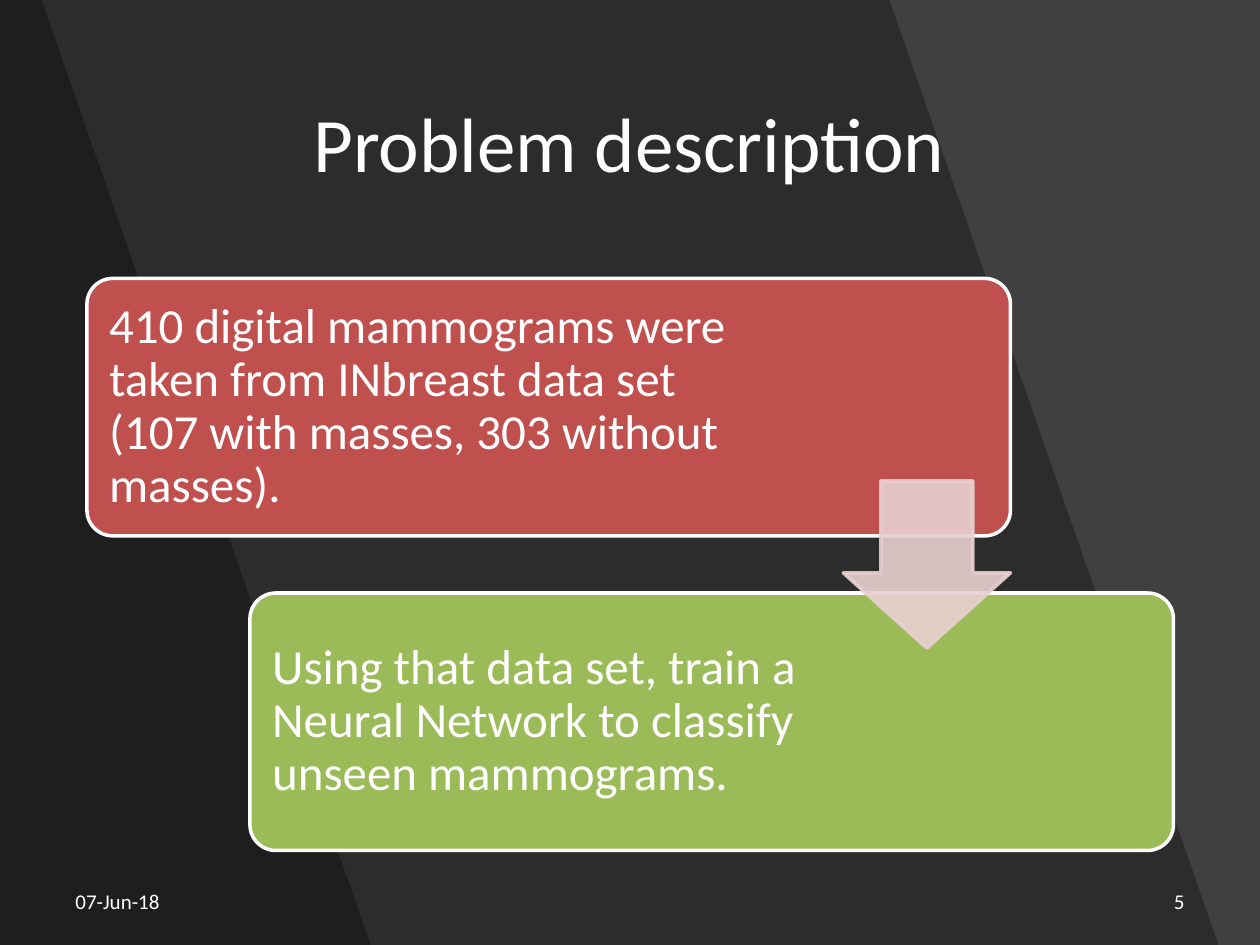
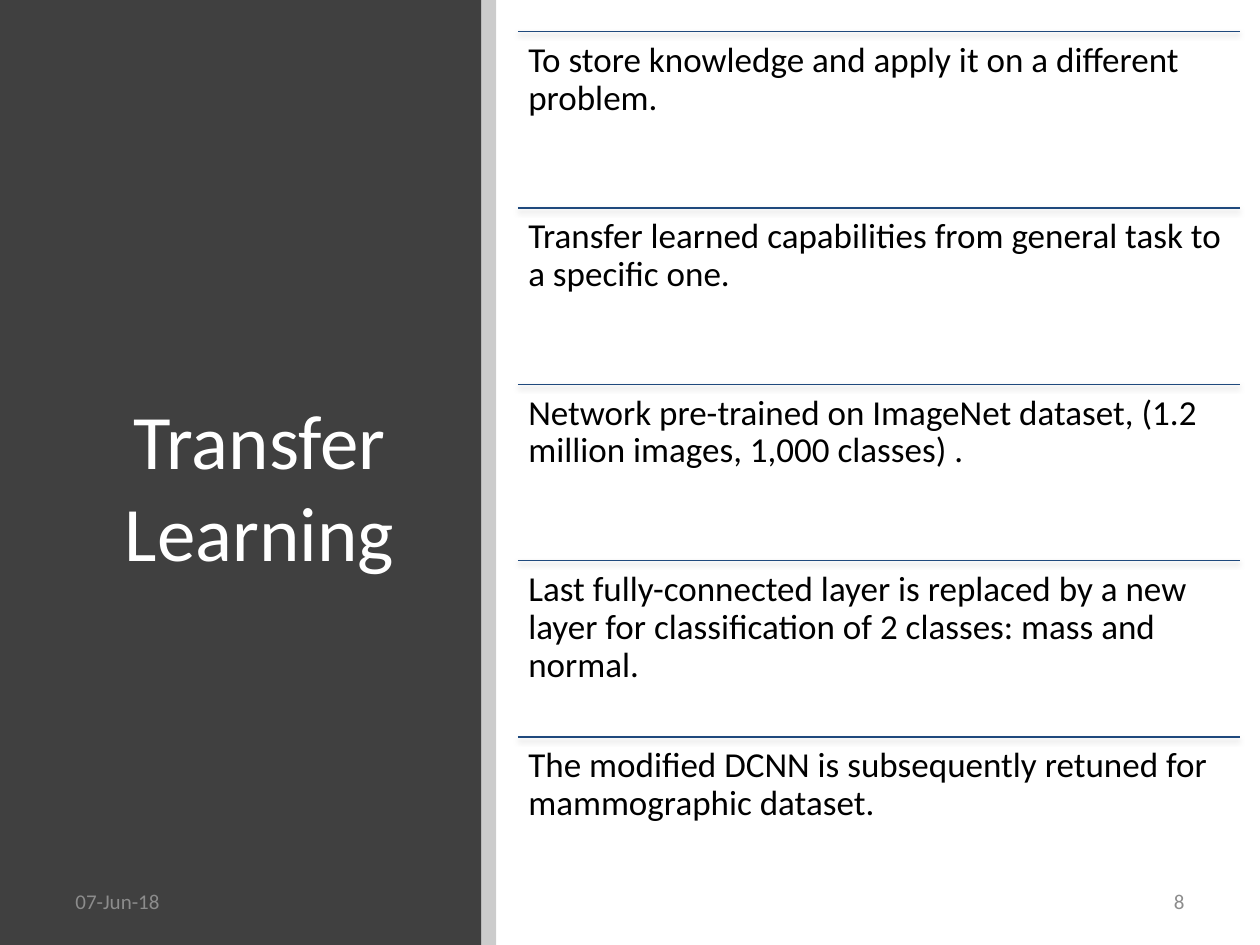
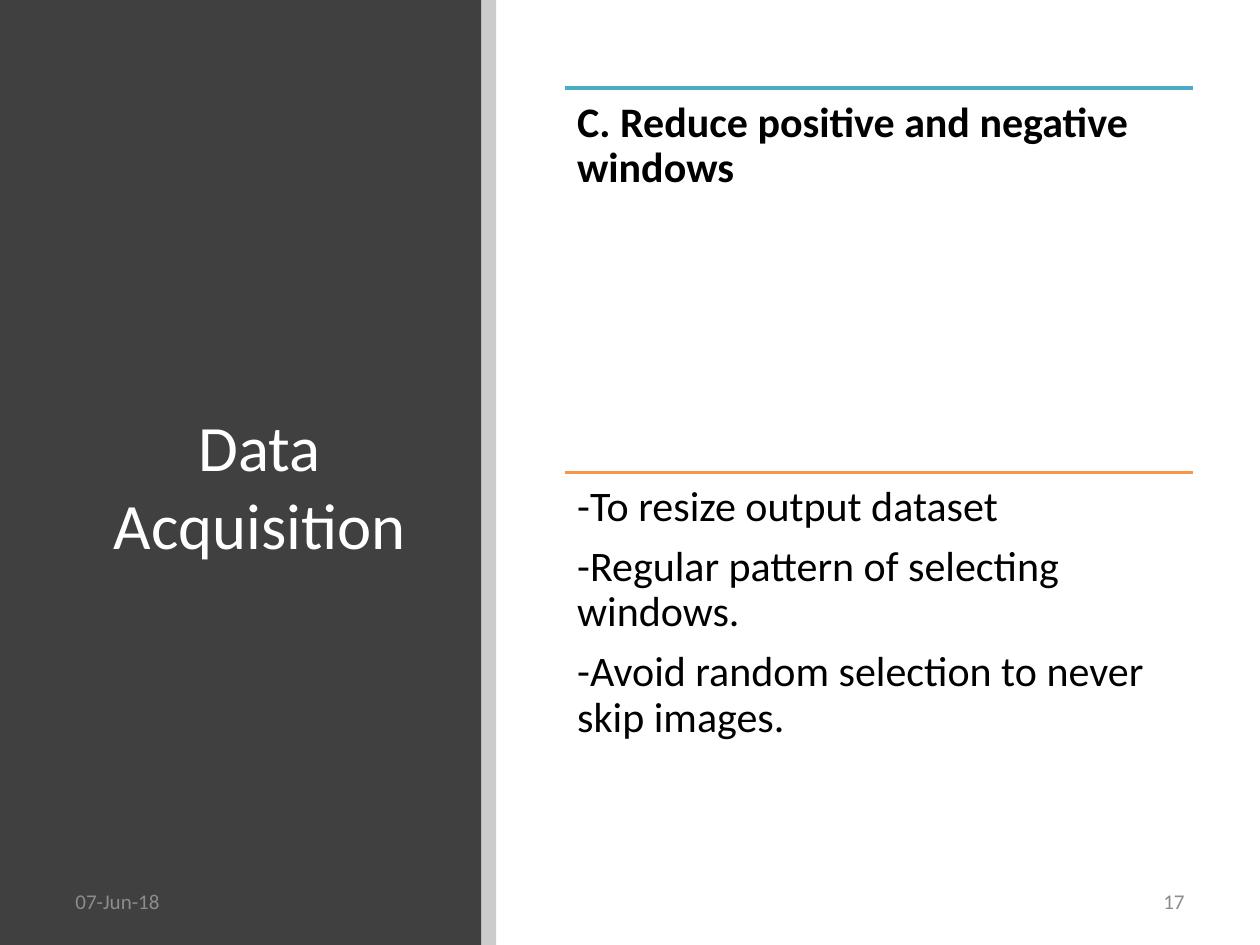
from pptx import Presentation
from pptx.dml.color import RGBColor
from pptx.enum.shapes import MSO_CONNECTOR as CONN, MSO_SHAPE as SHAPE
from pptx.enum.text import MSO_ANCHOR as ANCHOR, MSO_AUTO_SIZE as AUTO, PP_ALIGN as ALIGN
from pptx.oxml.ns import qn
from pptx.util import Pt
from lxml.etree import SubElement

WIDTH, HEIGHT = 720, 540
FONT = "Calibri"
DATE = "07-Jun-18"
TITLE_ONLY = 5
COLORS = {
    "white": "FFFFFF", "black": "000000", "charcoal": "404040",
    "footer": "8C8C8C", "red": "C0504D", "green": "9BBB59",
    "arrow": "E8D0D0", "navy": "1F497D", "teal": "4BACC6", "orange": "F79646",
}


def rgb(name):
    return RGBColor.from_string(COLORS[name])


def pts(*values):
    return [Pt(v) for v in values]


def style_shape(sp, fill, line=None, alpha=None):
    """Fill and outline a shape; alpha is the opacity in percent of both."""
    sp.shadow.inherit = False
    sp.fill.solid()
    sp.fill.fore_color.rgb = rgb(fill)
    if line:
        sp.line.color.rgb = rgb(line)
        sp.line.width = Pt(2)
    else:
        sp.line.fill.background()
    if alpha is not None:
        for clr in sp._element.spPr.iter(qn("a:srgbClr")):
            SubElement(clr, qn("a:alpha")).set("val", str(alpha * 1000))


def write(tf, paragraphs, size, color, align=ALIGN.LEFT, anchor=ANCHOR.MIDDLE, bold=None):
    tf.word_wrap = True
    tf.auto_size = AUTO.NONE
    tf.vertical_anchor = anchor
    for i, text in enumerate(paragraphs):
        p = tf.add_paragraph() if i else tf.paragraphs[0]
        p.alignment = align
        r = p.add_run()
        r.text = text
        r.font.name, r.font.size, r.font.bold = FONT, Pt(size), bold
        r.font.color.rgb = rgb(color)


def space_body(tf, size):
    """Diagram text: margins and spacing follow the text size."""
    tf.margin_left = tf.margin_right = tf.margin_top = tf.margin_bottom = Pt(0.3 * size)
    for p in tf.paragraphs:
        p.line_spacing = 0.9
        p.space_after = Pt(0.35 * size)


# Shared slide parts

def new_slide(prs, background):
    s = prs.slides.add_slide(prs.slide_layouts[TITLE_ONLY])
    s.background.fill.solid()
    s.background.fill.fore_color.rgb = rgb(background)
    return s


def add_title(s, text, box, size=44):
    title = s.shapes.title
    title.left, title.top, title.width, title.height = pts(*box)
    write(title.text_frame, [text], size, "white", ALIGN.CENTER)
    s.shapes._spTree.append(title._element)  # bring in front of the backdrop


def add_footer(s, number, color):
    for x, text, align in ((36, DATE, ALIGN.LEFT), (516, number, ALIGN.RIGHT)):
        tb = s.shapes.add_textbox(*pts(x, 500.5, 168, 28.8))
        write(tb.text_frame, [text], 12, color, align)


# Dark slide

def add_slanted_bands(s, slant=188):
    for top_edge in (508.3, 23.8):
        fb = s.shapes.build_freeform(0, 0)
        fb.add_line_segments([pts(top_edge, 0), pts(top_edge + slant, HEIGHT), pts(0, HEIGHT)])
        style_shape(fb.convert_to_shape(), "black", alpha=30)


def add_step_cards(s, box, steps, size=28):
    """Two staggered cards and an arrow across the gap between them."""
    x, y, w, h = box
    card_w, card_h = 0.85 * w, 0.45 * h
    for i, (text, fill, text_w) in enumerate(steps):
        sp = s.shapes.add_shape(SHAPE.ROUNDED_RECTANGLE, *pts(
            x + i * (w - card_w), y + i * (h - card_h), card_w, card_h))
        sp.adjustments[0] = 0.1
        style_shape(sp, fill, "white")
        write(sp.text_frame, [text], size, "white")
        space_body(sp.text_frame, size)
        sp.text_frame.margin_right = Pt(card_w - text_w)

    side = 0.65 * card_h
    arrow = s.shapes.add_shape(SHAPE.DOWN_ARROW, *pts(
        x + card_w - side, y + (h - side) / 2, side, side))
    arrow.adjustments[0], arrow.adjustments[1] = 0.55, 0.45
    style_shape(arrow, "arrow", "arrow", alpha=90)


def steps_slide(prs, title, steps, number):
    s = new_slide(prs, "charcoal")
    add_slanted_bands(s)
    add_title(s, title, (49, 28.8, 621.4, 104.4))
    add_step_cards(s, (49.7, 159.1, 620.9, 326.9), steps)
    add_footer(s, number, "white")


# Slides with a side panel

def add_side_panel(s, width=275, strip=8.6):
    panel = s.shapes.add_shape(SHAPE.RECTANGLE, *pts(0, 0, width, HEIGHT))
    style_shape(panel, "charcoal")
    edge = s.shapes.add_shape(SHAPE.RECTANGLE, *pts(width, 0, strip, HEIGHT))
    style_shape(edge, "black", alpha=20)


def add_rule(s, x, y, w, color, weight, shadow):
    rule = s.shapes.add_connector(CONN.STRAIGHT, *pts(x, y, x + w, y))
    rule.line.color.rgb = rgb(color)
    rule.line.width = Pt(weight)
    effects = SubElement(rule._element.spPr, qn("a:effectLst"))
    if shadow:
        outer = SubElement(effects, qn("a:outerShdw"), blurRad=str(Pt(3.1)),
                           dist=str(Pt(1.8)), dir="5400000", rotWithShape="0")
        clr = SubElement(outer, qn("a:srgbClr"), val=COLORS["black"])
        SubElement(clr, qn("a:alpha"), val="35000")


def add_ruled_rows(s, box, rows, size, weight, shadow=False):
    """Equal rows, each a rule with text below it."""
    x, y, w, h = box
    row_h = h / len(rows)
    for i, (color, paragraphs, bold) in enumerate(rows):
        top = y + i * row_h
        add_rule(s, x, top, w, color, weight, shadow)
        tf = s.shapes.add_textbox(*pts(x, top, w, row_h)).text_frame
        write(tf, paragraphs, size, "black", anchor=ANCHOR.TOP, bold=bold)
        space_body(tf, size)


def panel_slide(prs, title, title_size, number, box, rows, **row_style):
    s = new_slide(prs, "white")
    add_side_panel(s)
    add_title(s, title, (49.7, 64.1, 197.3, 425.5), title_size)
    add_ruled_rows(s, box, rows, **row_style)
    add_footer(s, number, "footer")


TRANSFER_POINTS = [
    "To store knowledge and apply it on a different problem.",
    "Transfer learned capabilities from general task to a specific one.",
    "Network pre-trained on ImageNet dataset, (1.2 million images, 1,000 classes) .",
    "Last fully-connected layer is replaced by a new layer for classification"
    " of 2 classes: mass and normal.",
    "The modified DCNN is subsequently retuned for mammographic dataset.",
]
# Text, card colour, text width
PROBLEM_STEPS = [
    ("410 digital mammograms were taken from INbreast data set"
     " (107 with masses, 303 without masses).", "red", 375.8),
    ("Using that data set, train a Neural Network to classify unseen mammograms.",
     "green", 330.5),
]
# Rule colour, paragraphs, bold
ACQUISITION_ROWS = [
    ("teal", ["C. Reduce positive and negative windows"], True),
    ("orange", ["-To resize output dataset",
                "-Regular pattern of selecting windows.",
                "-Avoid random selection to never skip images."], None),
]


def main():
    prs = Presentation()
    prs.slide_width, prs.slide_height = pts(WIDTH, HEIGHT)
    steps_slide(prs, "Problem description", PROBLEM_STEPS, "5")
    panel_slide(prs, "Transfer Learning", 44, "8", (295.9, 18, 412.6, 504),
                [("navy", [text], None) for text in TRANSFER_POINTS],
                size=20, weight=0.75, shadow=True)
    panel_slide(prs, "Data Acquisition", 37, "17", (322.6, 50.4, 359.3, 439.2),
                ACQUISITION_ROWS, size=24, weight=2)
    prs.save("out.pptx")


if __name__ == "__main__":
    main()
